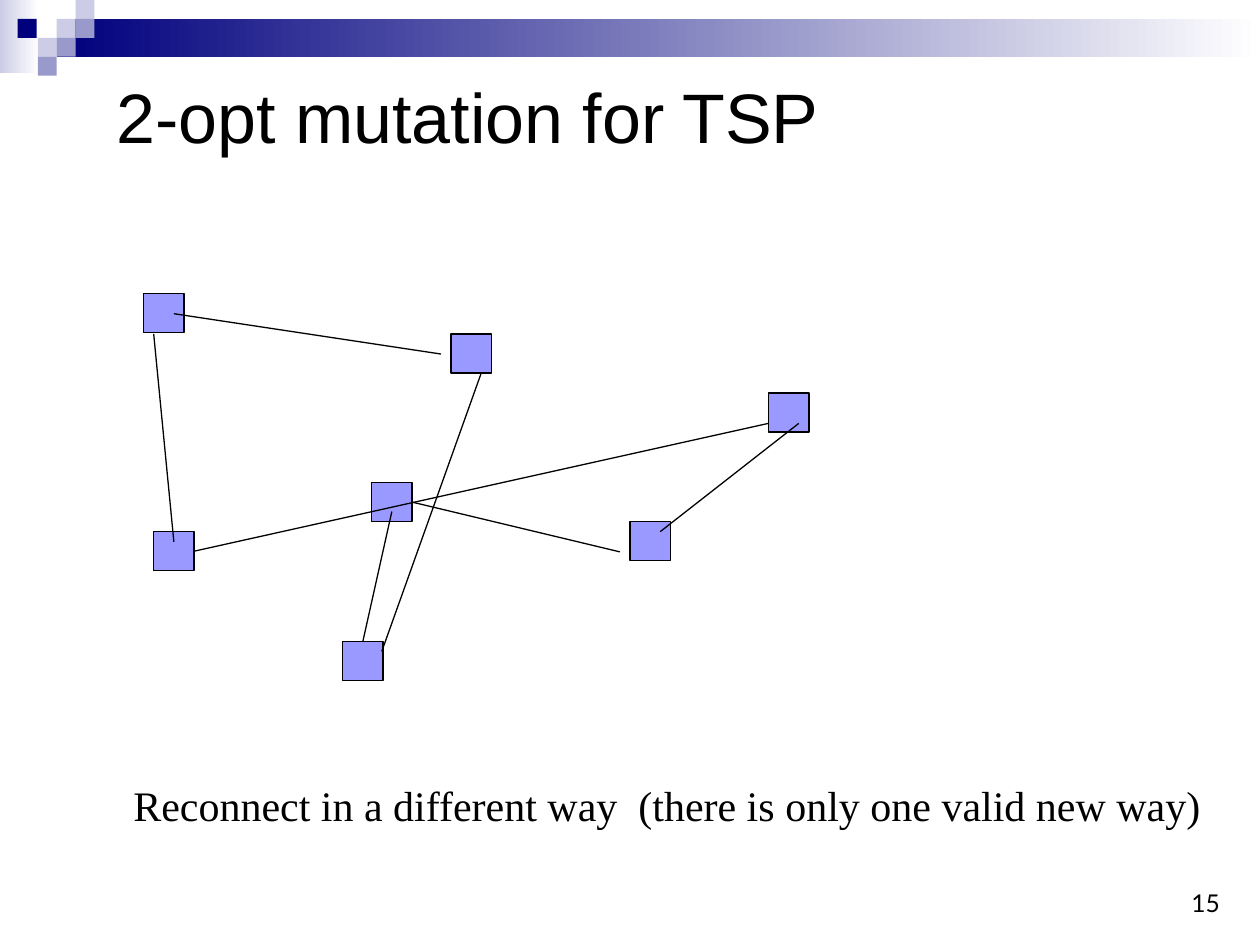
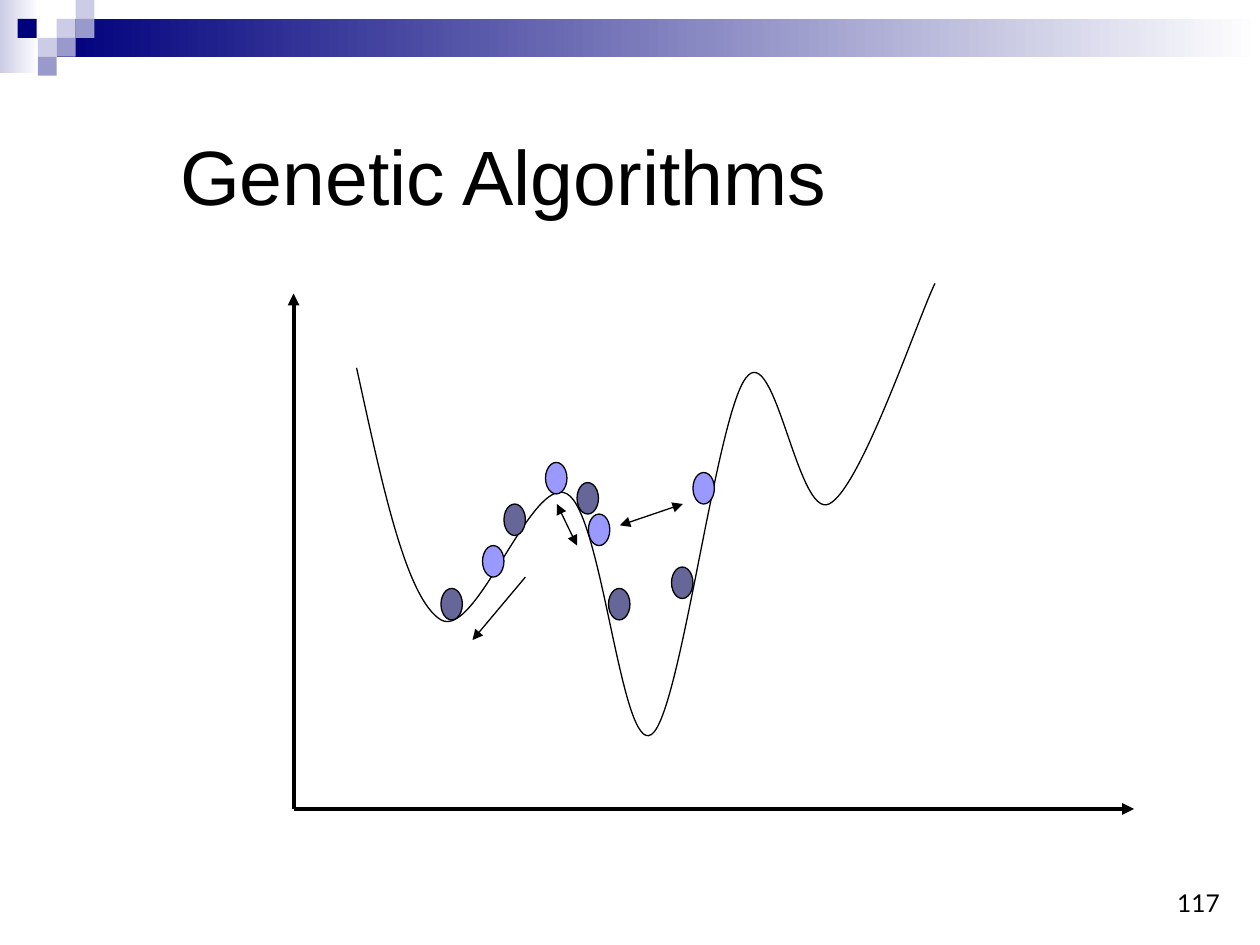
import pptx
import pptx.util
import pptx.dml.color
import pptx.enum.shapes
import pptx.enum.text
import pptx.oxml
import pptx.oxml.ns

Inches = pptx.util.Inches
Kind = pptx.enum.shapes.MSO_SHAPE
Align = pptx.enum.text.PP_ALIGN
Anchor = pptx.enum.text.MSO_ANCHOR
Fit = pptx.enum.text.MSO_AUTO_SIZE
qn = pptx.oxml.ns.qn

HUES = {
    "ink": "000000", "white": "FFFFFF", "navy": "00007D", "pale": "CCCCE6",
    "mid": "9999CC", "node": "9999FF", "dusk": "666699",
}

FADES = [
    ((0, 0, 0.31, 0.58), "pale"),
    ((0.45, 0.15, 9.55, 0.3), "navy"),
]
TILE = 0.15
TILES = [
    (0.45, 0.15, "pale"), (0.6, 0, "pale"), (0.6, 0.15, "mid"),
    (0.3, 0.3, "pale"), (0.14, 0.15, "navy"), (0.45, 0.3, "mid"),
    (0.3, 0.45, "mid"),
]

TOUR = {
    "title": " 2-opt mutation for TSP",
    "number": "15",
    "note": "Reconnect in a different way  (there is only one valid new way)",
}
CITY = (0.32, 0.31)
CITIES = {
    "F": (2.72, 5.09), "A": (1.14, 2.33), "D": (5, 4.14), "G": (1.22, 4.22),
    "E": (2.95, 3.83), "B": (3.58, 2.65), "C": (6.1, 3.12),
}
TOP, RIGHT = 0, 3
ROADS = [
    ((1.38, 2.49), (3.5, 2.81)),
    ((1.22, 2.65), (1.38, 4.3)),
    (("E", RIGHT), (4.92, 4.38)),
    ((5.24, 4.22), (6.34, 3.36)),
    ((3.82, 2.96), (3.03, 5.17)),
    ((3.11, 4.06), ("F", TOP)),
    (("G", RIGHT), (6.1, 3.36)),
]

SEARCH = {"title": "Genetic Algorithms", "number": "117"}
ZERO = (2.33, 6.42)
AXES = [
    ((2.33, 2.33), ZERO, ("head",)),
    (ZERO, (9, 6.42), ("tail",)),
]
START = (2.83, 2.92)
BENDS = [
    ((3.03, 3.83), (3.22, 4.75), (3.5, 4.92)),
    ((3.78, 5.08), (4.22, 3.76), (4.5, 3.92)),
    ((4.78, 4.07), (4.93, 5.99), (5.17, 5.83)),
    ((5.4, 5.68), (5.68, 3.31), (5.92, 3)),
    ((6.15, 2.69), (6.33, 4.12), (6.58, 4)),
    ((6.83, 3.88), (7.28, 2.54), (7.42, 2.25)),
]
DOT = (0.17, 0.25)
DOTS = {
    "node": [(4.33, 3.67), (3.83, 4.33), (4.67, 4.08), (5.5, 3.75)],
    "dusk": [(3.5, 4.67), (4.83, 4.67), (5.33, 4.5), (4, 4), (4.58, 3.83)],
}
MOVES = [
    ((4.92, 4.17), (5.42, 4), ("head", "tail")),
    ((4.17, 4.58), (3.75, 5.08), ("tail",)),
    ((4.42, 4), (4.58, 4.33), ("head", "tail")),
]


def hue(name):
    return pptx.dml.color.RGBColor.from_string(HUES[name])


def write(box, text, font="Arial", size=14, align=Align.LEFT,
          anchor=Anchor.TOP, wrap=True, fit=Fit.NONE):
    frame = box.text_frame
    frame.word_wrap = wrap
    frame.auto_size = fit
    frame.vertical_anchor = anchor
    para = frame.paragraphs[0]
    para.text = text
    para.alignment = align
    para.font.name = font
    para.font.size = pptx.util.Pt(size)
    para.font.color.rgb = hue("ink")


def place(box, area):
    box.left, box.top, box.width, box.height = map(Inches, area)


def ink(line, width=0.75):
    line.color.rgb = hue("ink")
    line.width = pptx.util.Pt(width)


def shape(slide, kind, area, fill, edge=True):
    item = slide.shapes.add_shape(kind, *map(Inches, area))
    item.shadow.inherit = False
    item.fill.solid()
    item.fill.fore_color.rgb = hue(fill)
    if edge:
        ink(item.line)
    else:
        item.line.fill.background()
    return item


def make(tag, **attrs):
    node = pptx.oxml.parse_xml(f"<{tag} {pptx.oxml.ns.nsdecls('a')}/>")
    for key, value in attrs.items():
        node.set(key, value)
    return node


def link(slide, start, end, width=0.75, tips=(), nodes=None):
    ends = [(0, 0) if isinstance(p[0], str) else p for p in (start, end)]
    line = slide.shapes.add_connector(
        pptx.enum.shapes.MSO_CONNECTOR.STRAIGHT,
        *(Inches(v) for p in ends for v in p))
    for point, join in ((start, line.begin_connect), (end, line.end_connect)):
        if isinstance(point[0], str):
            join(nodes[point[0]], point[1])
    ink(line.line, width)
    props = line.element.spPr
    for tip in tips:
        props.find(qn("a:ln")).append(make(f"a:{tip}End", type="triangle"))
    props.append(make("a:effectLst"))


def band(prs, slide):
    parts = []
    for area, tint in FADES:
        fade = shape(slide, Kind.RECTANGLE, area, tint, edge=False)
        fade.fill.gradient()
        fade.fill.gradient_angle = 0
        for stop, name in zip(fade.fill.gradient_stops, (tint, "white")):
            stop.color.rgb = hue(name)
        parts.append(fade)
    for x, y, tint in TILES:
        area = (x, y, TILE, TILE)
        parts.append(shape(slide, Kind.RECTANGLE, area, tint, edge=False))
    tree = prs.slide_master.element.cSld.spTree
    for part in parts:
        tree.append(part.element)


def page(prs, data, area, size):
    slide = prs.slides.add_slide(prs.slide_layouts[5])
    title = slide.shapes.title
    place(title, area)
    write(title, data["title"], size=size, anchor=Anchor.MIDDLE)
    box = slide.shapes.add_textbox(*map(Inches, (7.7, 6.83, 2.08, 0.5)))
    write(box, data["number"], font="Lato", align=Align.RIGHT,
          anchor=Anchor.BOTTOM)
    return slide


def tour(prs):
    slide = page(prs, TOUR, (0.67, 0.44, 8.5, 0.96), 40)
    nodes = {name: shape(slide, Kind.RECTANGLE, spot + CITY, "node")
             for name, spot in CITIES.items()}
    for start, end in ROADS:
        link(slide, start, end, nodes=nodes)
    note = slide.shapes.add_textbox(*map(Inches, (0.96, 6.14, 8.67, 0.5)))
    write(note, TOUR["note"], font="Times New Roman", size=24, wrap=False,
          fit=Fit.SHAPE_TO_FIT_TEXT)
    return slide


def curve(slide):
    points = [tuple(map(Inches, point)) for bend in BENDS for point in bend]
    form = slide.shapes.build_freeform(*map(Inches, START))
    form.add_line_segments(points, close=False)
    item = form.convert_to_shape()
    item.shadow.inherit = False
    item.fill.background()
    ink(item.line)
    legs = list(item.element.iter(qn("a:lnTo")))
    for i in range(0, len(legs), 3):
        bend = make("a:cubicBezTo")
        legs[i].addprevious(bend)
        for leg in legs[i:i + 3]:
            bend.append(leg[0])
            leg.getparent().remove(leg)


def search(prs):
    slide = page(prs, SEARCH, (1.33, 0.94, 8.52, 0.9), 44)
    for start, end, tips in AXES:
        link(slide, start, end, width=2.25, tips=tips)
    curve(slide)
    for tint, spots in DOTS.items():
        for spot in spots:
            shape(slide, Kind.OVAL, spot + DOT, tint)
    for start, end, tips in MOVES:
        link(slide, start, end, tips=tips)


def main():
    prs = pptx.Presentation()
    prs.slide_width, prs.slide_height = Inches(10), Inches(7.5)
    band(prs, tour(prs))
    search(prs)
    prs.save("out.pptx")


if __name__ == "__main__":
    main()
